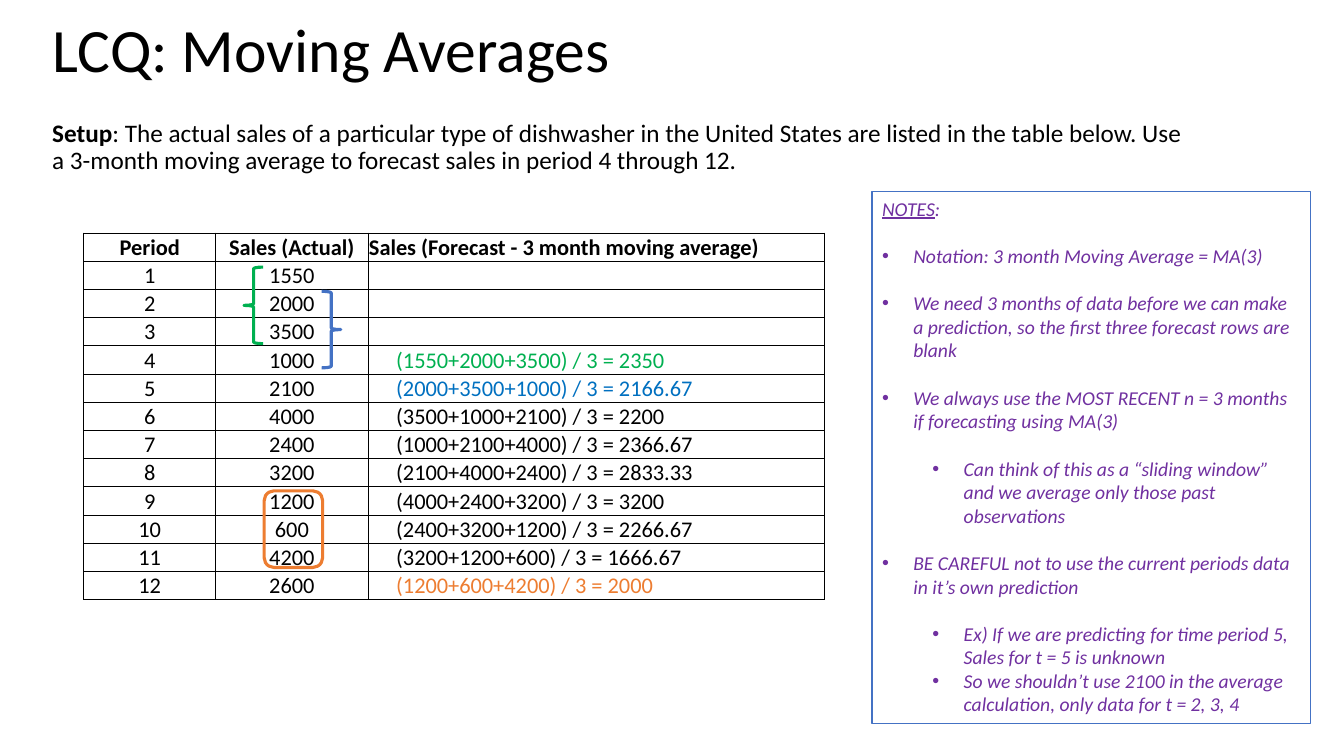
"""Builds a slide on three-month moving averages with a forecast table and notes."""
from lxml import etree
from pptx import Presentation
from pptx.dml.color import RGBColor
from pptx.enum.shapes import MSO_SHAPE
from pptx.enum.text import MSO_ANCHOR, MSO_AUTO_SIZE, PP_ALIGN
from pptx.oxml.ns import qn
from pptx.util import Pt

PX = 9144
FONT = "Calibri"
BLACK = RGBColor(0x00, 0x00, 0x00)
WHITE = RGBColor(0xFF, 0xFF, 0xFF)
GREEN = RGBColor(0x00, 0xB0, 0x50)
BLUE = RGBColor(0x00, 0x70, 0xC0)
STEEL = RGBColor(0x44, 0x72, 0xC4)
ORANGE = RGBColor(0xED, 0x7D, 0x31)
PURPLE = RGBColor(0x70, 0x30, 0xA0)
LEFT, CENTER = PP_ALIGN.LEFT, PP_ALIGN.CENTER
TOP, MIDDLE = MSO_ANCHOR.TOP, MSO_ANCHOR.MIDDLE
NO_AUTOFIT = MSO_AUTO_SIZE.NONE
RECTANGLE, ROUNDED = MSO_SHAPE.RECTANGLE, MSO_SHAPE.ROUNDED_RECTANGLE
LEFT_BRACE, RIGHT_BRACE = MSO_SHAPE.LEFT_BRACE, MSO_SHAPE.RIGHT_BRACE

WINDOW = 3
SALES = [1550, 2000, 3500, 1000, 2100, 4000, 2400, 3200, 1200, 600, 4200, 2600]
HEADINGS = ["Period", "Sales (Actual)", "Sales (Forecast - 3 month moving average)"]
FORECAST_COLORS = {4: GREEN, 5: BLUE, 12: ORANGE}
COLUMN_WIDTHS = [131, 151, 453]
ROW_HEIGHT = 28
NOTES = [
    (0, 17, "Notation: 3 month Moving Average = MA(3)"),
    (0, 17, "We need 3 months of data before we can make a prediction, "
            "so the first three forecast rows are blank"),
    (0, 17, "We always use the MOST RECENT n = 3 months if forecasting using MA(3)"),
    (1, 17, "Can think of this as a “sliding window” and we average only "
            "those past observations"),
    (0, 17, "BE CAREFUL not to use the current periods data in it’s own prediction"),
    (1, 17, "Ex) If we are predicting for time period 5, Sales for t = 5 is unknown"),
    (1, 0, "So we shouldn’t use 2100 in the average calculation, "
           "only data for t = 2, 3, 4"),
]


def box(*lengths):
    """Turn px lengths into EMU."""
    return [length * PX for length in lengths]


def style(paragraph, size, color=BLACK, align=LEFT, bold=None, italic=None):
    """Set the font and alignment of a paragraph."""
    paragraph.alignment = align
    font = paragraph.font
    font.name, font.size, font.bold, font.italic = FONT, Pt(size), bold, italic
    font.color.rgb = color


def add_title(slide, text):
    """Fill and place the title placeholder."""
    title = slide.shapes.title
    title.left, title.top, title.width, title.height = box(42, -20, 1150, 145)
    frame = title.text_frame
    frame.text = text
    frame.auto_size = NO_AUTOFIT
    frame.vertical_anchor = MIDDLE
    paragraph = frame.paragraphs[0]
    style(paragraph, 44)
    paragraph.line_spacing = 0.9


def add_setup(slide, label, text):
    """Add the task statement with its bold label."""
    frame = slide.shapes.add_textbox(*box(42, 115, 1150, 65)).text_frame
    frame.word_wrap = True
    paragraph = frame.paragraphs[0]
    style(paragraph, 18)
    paragraph.line_spacing = 0.9
    run = paragraph.add_run()
    run.text = label
    run.font.bold = True
    paragraph.add_run().text = text


def add_borders(cell):
    """Draw a thin black line on each side of a cell."""
    properties = cell._tc.get_or_add_tcPr()
    for index, side in enumerate(("a:lnL", "a:lnR", "a:lnT", "a:lnB")):
        line = etree.Element(qn(side), w=str(Pt(0.5)))
        fill = etree.SubElement(line, qn("a:solidFill"))
        etree.SubElement(fill, qn("a:srgbClr"), val=str(BLACK))
        properties.insert(index, line)


def fill_cell(cell, text, color=BLACK, align=CENTER, bold=False, indent=1):
    """Write and format one table cell."""
    cell.text = text
    cell.vertical_anchor = MIDDLE
    cell.margin_left, cell.margin_right, cell.margin_top, cell.margin_bottom = box(
        indent, 1, 1, 0)
    cell.fill.background()
    add_borders(cell)
    style(cell.text_frame.paragraphs[0], 16, color, align, bold)


def forecast(period):
    """Write out the moving average of the months before a period."""
    if period <= WINDOW:
        return ""
    recent = SALES[period - 1 - WINDOW:period - 1]
    average = round(sum(recent) / WINDOW, 2)
    return f"({'+'.join(map(str, recent))}) / {WINDOW} = {average:g}"


def add_sales_table(slide):
    """Add the table of actual and forecast sales."""
    rows = len(SALES) + 1
    frame = slide.shapes.add_table(
        rows, len(HEADINGS), *box(83, 231, sum(COLUMN_WIDTHS), rows * ROW_HEIGHT))
    table = frame.table
    table.first_row = table.horz_banding = False
    for column, width in zip(table.columns, COLUMN_WIDTHS):
        column.width = width * PX
    for row in table.rows:
        row.height = ROW_HEIGHT * PX
    for column, (heading, align) in enumerate(zip(HEADINGS, (CENTER, CENTER, LEFT))):
        fill_cell(table.cell(0, column), heading, align=align, bold=True)
    for period, sales in enumerate(SALES, 1):
        fill_cell(table.cell(period, 0), str(period))
        fill_cell(table.cell(period, 1), str(sales))
        fill_cell(table.cell(period, 2), forecast(period),
                  FORECAST_COLORS.get(period, BLACK), LEFT, indent=28)


def add_outline(slide, kind, bounds, color, width):
    """Add an unfilled preset shape with a coloured line."""
    shape = slide.shapes.add_shape(kind, *box(*bounds))
    shape.shadow.inherit = False
    shape.fill.background()
    shape.line.color.rgb = color
    shape.line.width = Pt(width)
    return shape


def add_bullet(paragraph, level):
    """Give a paragraph a hanging bullet."""
    paragraph.level = level
    properties = paragraph._p.get_or_add_pPr()
    properties.set("marL", str((31 + 50 * level) * PX))
    properties.set("indent", str(-31 * PX))
    etree.SubElement(properties, qn("a:buFont"), typeface="Arial")
    etree.SubElement(properties, qn("a:buChar"), char="•")


def add_notes(slide):
    """Add the framed notes panel."""
    panel = add_outline(slide, RECTANGLE, (865, 190, 435, 528), STEEL, 1)
    panel.fill.solid()
    panel.fill.fore_color.rgb = WHITE
    frame = panel.text_frame
    frame.word_wrap = True
    frame.vertical_anchor = TOP
    heading = frame.paragraphs[0]
    style(heading, 14, PURPLE, italic=True)
    run = heading.add_run()
    run.text = "NOTES"
    run.font.underline = True
    heading.add_run().text = ":"
    for level, gap, text in NOTES:
        paragraph = frame.add_paragraph()
        paragraph.text = text
        add_bullet(paragraph, level)
        style(paragraph, 14, PURPLE, italic=True)
        paragraph.space_before = Pt(gap)


def main():
    """Build and save the slide."""
    presentation = Presentation()
    presentation.slide_width, presentation.slide_height = box(1333, 750)
    slide = presentation.slides.add_slide(presentation.slide_layouts[5])
    add_title(slide, "LCQ: Moving Averages")
    add_setup(slide, "Setup", ": The actual sales of a particular type of dishwasher in the "
              "United States are listed in the table below. Use a 3-month moving average "
              "to forecast sales in period 4 through 12.")
    add_sales_table(slide)
    add_outline(slide, ROUNDED, (262, 487, 58, 76), ORANGE, 2.25)
    add_outline(slide, LEFT_BRACE, (242, 265, 19, 76), GREEN, 2.25)
    add_outline(slide, RIGHT_BRACE, (319, 289, 19, 76), STEEL, 2.25)
    add_notes(slide)
    presentation.save("out.pptx")


if __name__ == "__main__":
    main()
